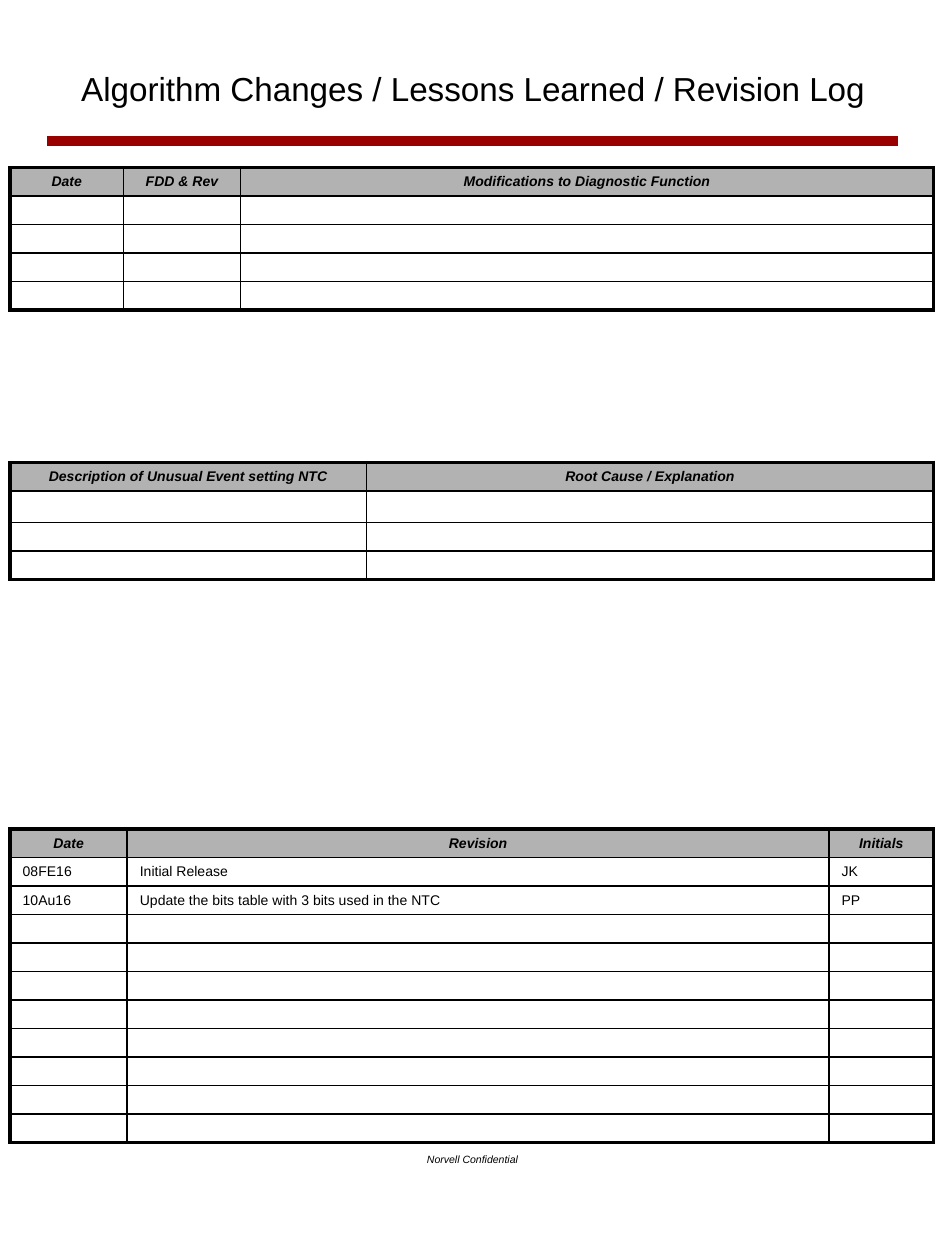
"""Build the algorithm change, lessons learned and revision log slide."""
from lxml import etree
from pptx import Presentation
from pptx.dml.color import RGBColor
from pptx.enum import shapes, text
from pptx.oxml import ns
from pptx.util import Inches, Pt

BLACK = RGBColor(0x00, 0x00, 0x00)
RED = RGBColor(0x99, 0x00, 0x00)
GREY = RGBColor(0xB2, 0xB2, 0xB2)

TITLE = "Algorithm Changes / Lessons Learned / Revision Log"
FOOTER = "Norvell Confidential"
LEFT, ROW_H, TEXT_SIZE = 0.08, 0.226, 8
THIN, THICK = 1, 2.25

TABLES = [
    {"top": 6.58, "cols": [0.93, 5.57, 0.83], "empty": 8, "tall": {},
     "rows": [("Date", "Revision", "Initials"),
              ("08FE16", "Initial Release", "JK"),
              ("10Au16", "Update the bits table with 3 bits used in the NTC", "PP")]},
    {"top": 3.67, "cols": [2.83, 4.5], "empty": 3, "tall": {1: 0.25},
     "rows": [("Description of Unusual Event setting NTC", "Root Cause / Explanation")]},
    {"top": 1.33, "cols": [0.9, 0.93, 5.5], "empty": 4, "tall": {},
     "rows": [("Date", "FDD & Rev", "Modifications to Diagnostic Function")]},
]


def write(tf, content, size=TEXT_SIZE, bold=False, italic=False, center=False):
    p = tf.paragraphs[0]
    p.alignment = text.PP_ALIGN.CENTER if center else text.PP_ALIGN.LEFT
    if not content:
        etree.SubElement(p._p, ns.qn("a:endParaRPr"), sz=str(size * 100))
        return
    r = p.add_run()
    r.text = content
    r.font.name, r.font.size = "Arial", Pt(size)
    r.font.bold, r.font.italic = bold, italic
    r.font.color.rgb = BLACK


def add_label(s, box, content, anchor, **fmt):
    tf = s.shapes.add_textbox(*map(Inches, box)).text_frame
    tf.word_wrap = True
    tf.vertical_anchor = anchor
    tf.margin_left = tf.margin_right = Inches(0.08)
    tf.margin_top = tf.margin_bottom = Inches(0.04)
    write(tf, content, center=True, **fmt)


def set_borders(cell, outer):
    pr = cell._tc.get_or_add_tcPr()
    for i, (side, is_outer) in enumerate(zip("LRTB", outer)):
        width = Pt(THICK if is_outer else THIN)
        ln = etree.Element(ns.qn(f"a:ln{side}"), w=str(width))
        fill = etree.SubElement(ln, ns.qn("a:solidFill"))
        etree.SubElement(fill, ns.qn("a:srgbClr"), val=str(BLACK))
        pr.insert(i, ln)


def add_log(s, spec):
    cols = spec["cols"]
    rows = spec["rows"] + [("",) * len(cols)] * spec["empty"]
    heights = [spec["tall"].get(i, ROW_H) for i in range(len(rows))]
    box = LEFT, spec["top"], sum(cols), sum(heights)
    tbl = s.shapes.add_table(len(rows), len(cols), *map(Inches, box)).table
    tbl.first_row = tbl.horz_banding = False
    for col, width in zip(tbl.columns, cols):
        col.width = Inches(width)
    for i, row in enumerate(rows):
        tbl.rows[i].height = Inches(heights[i])
        head = i == 0
        for j, content in enumerate(row):
            cell = tbl.cell(i, j)
            cell.margin_top = cell.margin_bottom = Inches(0.04)
            cell.vertical_anchor = text.MSO_ANCHOR.MIDDLE
            if head:
                cell.fill.solid()
                cell.fill.fore_color.rgb = GREY
            else:
                cell.fill.background()
            set_borders(cell, (j == 0, j == len(cols) - 1, head, i == len(rows) - 1))
            write(cell.text_frame, content, bold=head, italic=head, center=head)


def main():
    prs = Presentation()
    prs.slide_width, prs.slide_height = Inches(7.5), Inches(10)
    s = prs.slides.add_slide(prs.slide_layouts[6])
    rule = s.shapes.add_connector(shapes.MSO_CONNECTOR.STRAIGHT,
                                  *map(Inches, (0.37, 1.12, 7.13, 1.12)))
    rule.line.color.rgb, rule.line.width = RED, Pt(6)
    etree.SubElement(rule._element.spPr, ns.qn("a:effectLst"))
    add_label(s, (2.56, 9.11, 2.38, 0.69), FOOTER, text.MSO_ANCHOR.TOP, size=6, italic=True)
    for spec in TABLES:
        add_log(s, spec)
    add_label(s, (0.38, 0.4, 6.75, 0.6), TITLE, text.MSO_ANCHOR.MIDDLE, size=19)
    prs.save("out.pptx")


if __name__ == "__main__":
    main()
